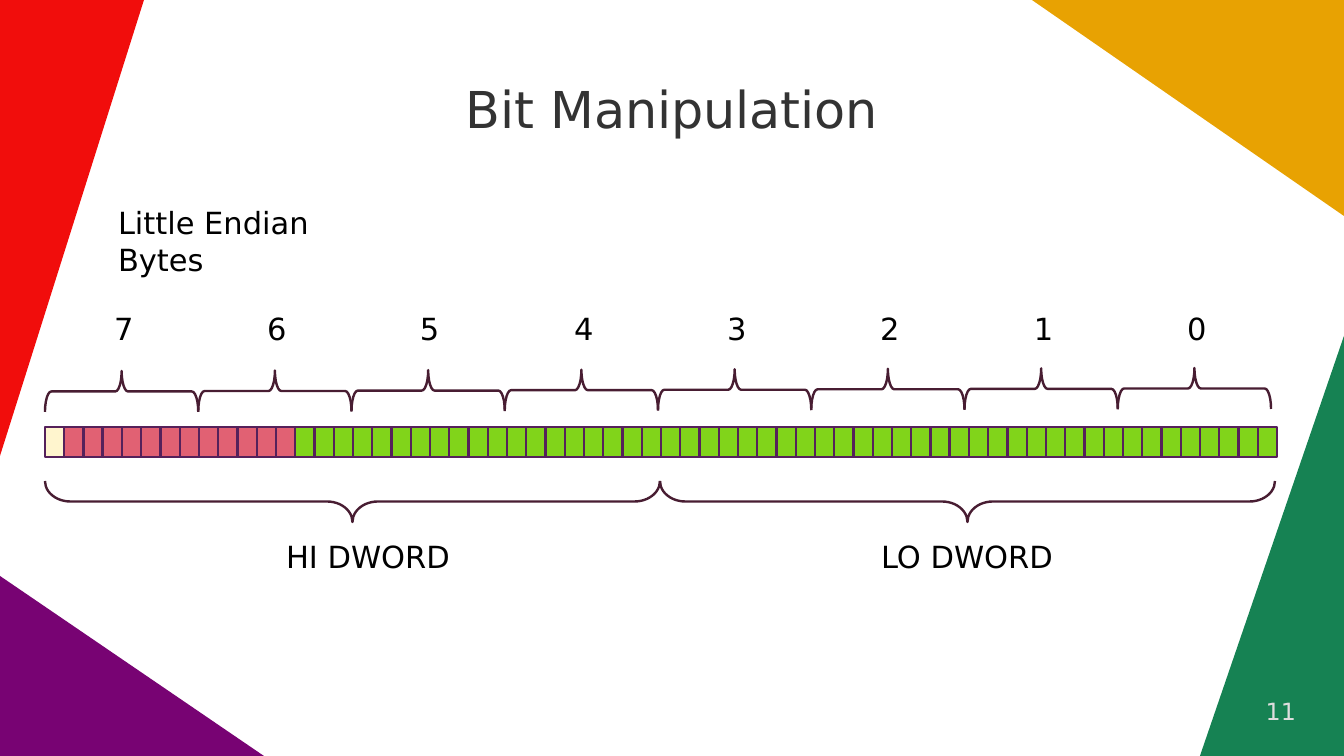
"""Build the Bit Manipulation slide: 64 bits grouped into bytes and dwords."""
from pptx import Presentation
from pptx.dml.color import RGBColor
from pptx.enum.shapes import MSO_SHAPE
from pptx.enum.text import MSO_ANCHOR, MSO_AUTO_SIZE, PP_ALIGN
from pptx.util import Pt

PX = 7495
RECT, BRACE = MSO_SHAPE.RECTANGLE, MSO_SHAPE.LEFT_BRACE
LEFT, MID, RIGHT = PP_ALIGN.LEFT, PP_ALIGN.CENTER, PP_ALIGN.RIGHT
FONT = "DejaVu Sans"
RED = RGBColor(0xF1, 0x0D, 0x0C)
GOLD = RGBColor(0xE8, 0xA2, 0x02)
TEAL = RGBColor(0x16, 0x82, 0x53)
PURPLE = RGBColor(0x78, 0x03, 0x73)
CREAM = RGBColor(0xFF, 0xF5, 0xCE)
PINK = RGBColor(0xE1, 0x61, 0x73)
LIME = RGBColor(0x81, 0xD4, 0x1A)
EDGE = RGBColor(0x55, 0x21, 0x5B)
PLUM = RGBColor(0x48, 0x1D, 0x32)
DARK = RGBColor(0x33, 0x33, 0x33)
BLACK = RGBColor(0, 0, 0)
PALE = RGBColor(0xDD, 0xDD, 0xDD)

deck = Presentation()
deck.slide_width, deck.slide_height = 1344 * PX, 756 * PX
slide = deck.slides.add_slide(deck.slide_layouts[5])
shapes = slide.shapes


def write(box, text, size, color, align=LEFT, inset=True):
    """Fill a text shape with styled text."""
    frame = box.text_frame
    frame.text = text
    frame.word_wrap = True
    frame.auto_size = MSO_AUTO_SIZE.NONE
    if not inset:
        frame.margin_left = frame.margin_right = 0
        frame.margin_top = frame.margin_bottom = 0
    for para in frame.paragraphs:
        para.alignment = align
        for run in para.runs:
            run.font.name = FONT
            run.font.size = Pt(size)
            run.font.color.rgb = color


def draw(kind, x, y, w, h, line):
    """Add an outlined preset shape without a shadow."""
    shape = shapes.add_shape(kind, round(x * PX), round(y * PX), round(w * PX), round(h * PX))
    shape.shadow.inherit = False
    shape.line.color.rgb = line
    shape.line.width = Pt(1.42)
    return shape


corners = [
    (PURPLE, [(0, 576), (0, 756), (264, 756)]),
    (RED, [(0, 0), (0, 456), (144, 0)]),
    (GOLD, [(1344, 0), (1032, 0), (1344, 216)]),
    (TEAL, [(1344, 756), (1344, 336), (1200, 756)]),
]
for color, points in corners:
    path = shapes.build_freeform(*points[0], scale=PX)
    path.add_line_segments(points[1:], close=True)
    corner = path.convert_to_shape()
    corner.shadow.inherit = False
    corner.fill.solid()
    corner.fill.fore_color.rgb = color
    corner.line.fill.background()

title = shapes.title
title.left, title.top = 96 * PX, 48 * PX
title.width, title.height = 1152 * PX, 120 * PX
write(title, "Bit Manipulation", 30, DARK, MID, False)
title.text_frame.vertical_anchor = MSO_ANCHOR.MIDDLE

bits = [CREAM] + [PINK] * 12 + [LIME] * 51
step = 1232 / len(bits)
for i, color in enumerate(bits):
    cell = draw(RECT, 45 + i * step, 427, step, 30, EDGE)
    cell.fill.solid()
    cell.fill.fore_color.rgb = color

span = 1226 / 8
braces = [(45 + i * span, 371 - i * 3 / 7, span, 90, 0.155) for i in range(8)]
braces += [(45 + i * 615, 481, 615, 270, 0.62) for i in range(2)]
for x, y, length, turn, curve in braces:
    brace = draw(BRACE, x + length / 2 - 20.5, y + 20.5 - length / 2, 41, length, PLUM)
    brace.rotation = turn
    brace.adjustments[0] = curve
    brace.fill.background()

labels = [
    ("Little Endian\nBytes", 106, 198, 260, 83),
    ("HI DWORD", 274, 532, 214, 48),
    ("LO DWORD", 869, 532, 214, 48),
]
labels += [(str(7 - i), round(102 + i * span), 304, 45, 48) for i in range(8)]
for text, *place in labels:
    write(shapes.add_textbox(*[n * PX for n in place]), text, 18, BLACK)

number = shapes.add_textbox(984 * PX, 697 * PX, 312 * PX, 48 * PX)
write(number, "11", 14, PALE, RIGHT, False)

deck.save("out.pptx")
